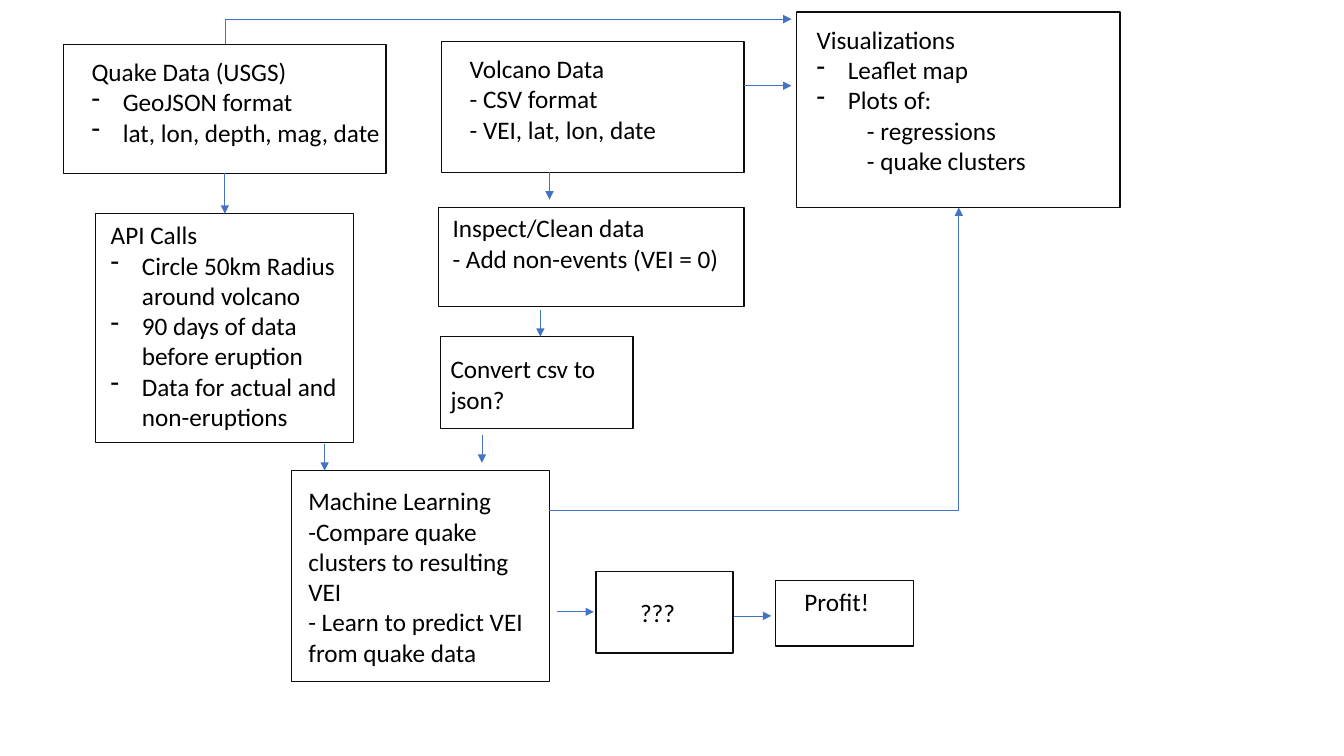
from lxml import etree
from pptx import Presentation
from pptx import util as u
from pptx.dml.color import RGBColor
from pptx.enum import shapes, text
from pptx.oxml.ns import qn

BLACK = RGBColor(0x00, 0x00, 0x00)
OUTLINE = RGBColor(0x0D, 0x0D, 0x0D)
BLUE = RGBColor(0x44, 0x72, 0xC4)
FONT, FONT_SIZE = "Calibri", 18
INDENT = 0.31
BULLET = "* "  # marks a line that gets a hanging dash

# Each step: box (left, top, width, height),
# text area (offset from the box's left and top, width, height), lines
STEPS = {
    "quakes": ((0.63, 0.44, 3.2, 1.28), (0.18, 0.07, 3.2, 1.01), [
        "Quake Data (USGS)", "* GeoJSON format",
        "* lat, lon, depth, mag, date"]),
    "api": ((0.95, 2.12, 2.56, 2.27), (0.05, 0.01, 2.46, 2.22), [
        "API Calls", "* Circle 50km Radius around volcano",
        "* 90 days of data before eruption",
        "* Data for actual and non-eruptions"]),
    "volcanoes": ((4.38, 0.41, 3, 1.3), (0.18, 0.07, 2.53, 1.01), [
        "Volcano Data", "- CSV format", "- VEI, lat, lon, date"]),
    "clean": ((4.35, 2.06, 3.03, 0.98), (0.04, 0, 3.03, 0.71), [
        "Inspect/Clean data", "- Add non-events (VEI = 0)"]),
    "convert": ((4.37, 3.34, 1.91, 0.91), (0, 0.12, 2.09, 0.71), [
        "Convert csv to json?"]),
    "learning": ((2.89, 4.67, 2.56, 2.09), (0.07, 0.1, 2.49, 1.92), [
        "Machine Learning", "-Compare quake clusters to resulting VEI",
        "- Learn to predict VEI from quake data"]),
    "unknown": ((5.91, 5.67, 1.36, 0.81), (0.34, 0.21, 1.36, 0.4), ["???"]),
    "profit": ((7.69, 5.76, 1.37, 0.65), (0.19, 0.01, 1.54, 0.4), ["Profit!"]),
    "visuals": ((7.9, 0.12, 3.21, 1.94), (0.1, 0.07, 3.12, 1.62), [
        "Visualizations", "* Leaflet map", "* Plots of:",
        "\t- regressions", "\t- quake clusters"]),
}

# Downward arrows: x, box above, gap below it, length
DOWN_ARROWS = [
    (2.23, "quakes", 0, 0.4),
    (5.45, "volcanoes", 0, 0.27),
    (5.36, "clean", 0.04, 0.26),
    (3.22, "api", 0.01, 0.27),
    (4.78, "convert", 0.07, 0.27),
]
# Rightward arrows: y, box on the left, gap after it, length
RIGHT_ARROWS = [
    (6.07, "learning", 0.07, 0.37),
    (6.11, "unknown", 0.01, 0.37),
    (0.85, "volcanoes", 0, 0.47),
]


def right(name):
    """Return the right edge of a box."""
    left, _, width, _ = STEPS[name][0]
    return left + width


def bottom(name):
    """Return the bottom edge of a box."""
    _, top, _, height = STEPS[name][0]
    return top + height


def add_box(slide, area):
    """Draw an outlined rectangle."""
    shape = slide.shapes.add_shape(
        shapes.MSO_SHAPE.RECTANGLE, *map(u.Inches, area))
    shape.shadow.inherit = False
    shape.fill.background()
    shape.line.color.rgb = OUTLINE
    shape.line.width = u.Pt(1)


def add_dash(paragraph):
    """Give a paragraph a hanging dash bullet."""
    properties = paragraph._p.get_or_add_pPr()
    properties.set("marL", str(u.Inches(INDENT)))
    properties.set("indent", str(-u.Inches(INDENT)))
    etree.SubElement(properties, qn("a:buFontTx"))
    etree.SubElement(properties, qn("a:buChar")).set("char", "-")


def add_text(slide, area, lines):
    """Write lines into a wrapping text box."""
    frame = slide.shapes.add_textbox(*map(u.Inches, area)).text_frame
    frame.word_wrap = True
    frame.auto_size = text.MSO_AUTO_SIZE.SHAPE_TO_FIT_TEXT
    for number, line in enumerate(lines):
        paragraph = frame.add_paragraph() if number else frame.paragraphs[0]
        paragraph.text = line.removeprefix(BULLET)
        if line.startswith(BULLET):
            add_dash(paragraph)
        for run in paragraph.runs:
            run.font.name = FONT
            run.font.size = u.Pt(FONT_SIZE)
            run.font.color.rgb = BLACK


def add_arrow(slide, start, end, kind=shapes.MSO_CONNECTOR.STRAIGHT):
    """Draw a thin blue arrow and return its connector."""
    connector = slide.shapes.add_connector(
        kind, *(u.Inches(value) for value in (*start, *end)))
    connector.line.color.rgb = BLUE
    connector.line.width = u.Pt(0.5)
    line = connector.line._get_or_add_ln()
    etree.SubElement(line, qn("a:tailEnd")).set("type", "triangle")
    etree.SubElement(connector._element.spPr, qn("a:effectLst"))
    return connector


def add_corner_arrow(slide, start, end, up_first=False):
    """Draw an arrow up and to the right with a single corner."""
    if up_first:  # lay the corner out on its side, then turn it a quarter
        center_x, center_y = (start[0] + end[0]) / 2, (start[1] + end[1]) / 2
        half_x, half_y = (end[0] - start[0]) / 2, (start[1] - end[1]) / 2
        start = center_x + half_y, center_y + half_x
        end = center_x - half_y, center_y - half_x
    connector = add_arrow(slide, start, end, shapes.MSO_CONNECTOR.ELBOW)
    properties = connector._element.spPr
    properties.find(qn("a:prstGeom")).set("prst", "bentConnector2")
    if up_first:
        properties.find(qn("a:xfrm")).set("rot", str(90 * 60000))


presentation = Presentation()
presentation.slide_width = u.Inches(13.33)
presentation.slide_height = u.Inches(7.5)
slide = presentation.slides.add_slide(presentation.slide_layouts[6])

for box, (offset_x, offset_y, width, height), lines in STEPS.values():
    add_box(slide, box)
    add_text(slide, (box[0] + offset_x, box[1] + offset_y, width, height), lines)

for x, name, gap, length in DOWN_ARROWS:
    y = bottom(name) + gap
    add_arrow(slide, (x, y), (x, y + length))
for y, name, gap, length in RIGHT_ARROWS:
    x = right(name) + gap
    add_arrow(slide, (x, y), (x + length, y))

add_corner_arrow(slide, (2.23, STEPS["quakes"][0][1]), (7.85, 0.19), up_first=True)
add_corner_arrow(slide, (right("learning"), 5.06), (9.51, bottom("visuals")))

presentation.save("out.pptx")
